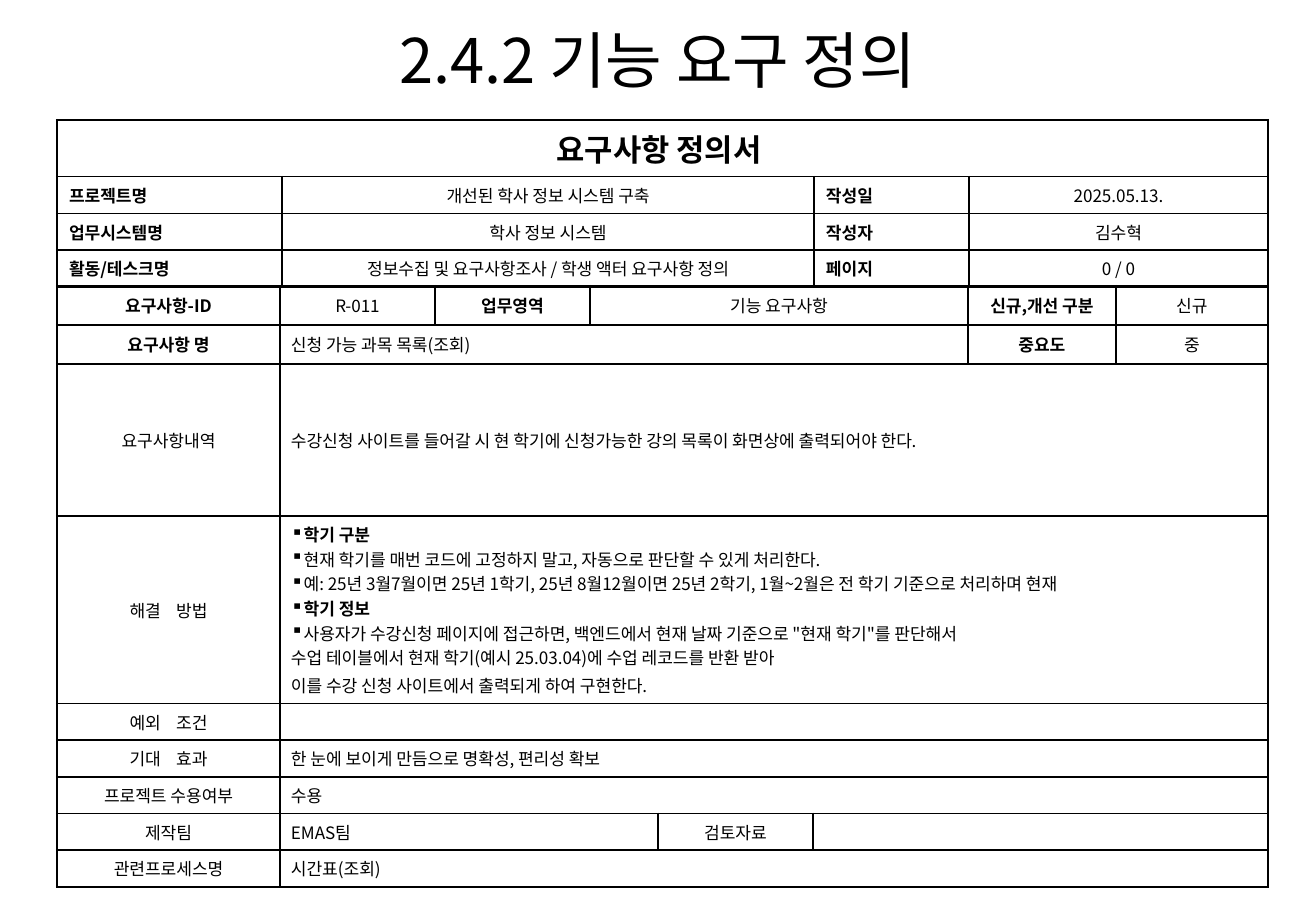
from pptx import Presentation, util as u
from pptx.dml.color import RGBColor
from pptx.enum import text
from pptx.oxml.ns import qn
from lxml import etree

PX = 7440  # EMU in one px
FONT = "Noto Sans CJK KR"
INK = {"text": "000000", "line": "000000"}
CENTER, LEFT, JUST = text.PP_ALIGN.CENTER, text.PP_ALIGN.LEFT, text.PP_ALIGN.JUSTIFY
TOP, MID = text.MSO_ANCHOR.TOP, text.MSO_ANCHOR.MIDDLE

# style: size, bold, alignment
STYLE = {
    "title": (36, False, CENTER),
    "form": (18, True, CENTER),
    "name": (10, True, JUST),
    "head": (10, True, CENTER),
    "mid": (10, False, CENTER),
    "left": (10, False, LEFT),
    "bold": (10, True, LEFT),
}


def write(par, words, style):
    """Put the words in a paragraph; a line feed becomes a line break."""
    size, bold, align = STYLE[style]
    par.alignment = align
    for i, line in enumerate(words.split("\n")):
        if i:
            par.add_line_break()
        run = par.add_run()
        run.text = line
        run.font.size = u.Pt(size)
        run.font.bold = bold
        run.font.name = FONT
        run.font.color.rgb = RGBColor.from_string(INK["text"])
        etree.SubElement(run.font._element, qn("a:ea")).set("typeface", FONT)


def edge(cell, side, width):
    """Draw one border of a cell; the side is L, R, T or B."""
    line = etree.SubElement(cell._tc.get_or_add_tcPr(), qn("a:ln" + side))
    line.set("w", str(u.Pt(width)))
    fill = etree.SubElement(line, qn("a:solidFill"))
    etree.SubElement(fill, qn("a:srgbClr")).set("val", INK["line"])


# Each cell: columns it spans, style, words
need = [
    [(1, "head", "요구사항-ID"), (1, "mid", "R-011"), (1, "head", "업무영역"),
     (3, "mid", "기능 요구사항"), (1, "head", "신규,개선 구분"), (1, "mid", "신규")],
    [(1, "head", "요구사항 명"), (5, "left", "신청 가능 과목 목록(조회)"),
     (1, "head", "중요도"), (1, "mid", "중")],
    [(1, "mid", "요구사항내역"),
     (7, "left", "수강신청 사이트를 들어갈 시 현 학기에 신청가능한 강의 목록이 화면상에 출력되어야 한다.")],
    [(1, "mid", "해결    방법"), (7, "left", "")],
    [(1, "mid", "예외    조건"), (7, "left", "")],
    [(1, "mid", "기대    효과"), (7, "left", "한 눈에 보이게 만듬으로 명확성, 편리성 확보")],
    [(1, "mid", "프로젝트 수용여부"), (7, "left", "수용")],
    [(1, "mid", "제작팀"), (3, "left", "EMAS팀"), (1, "mid", "검토자료"), (3, "left", "")],
    [(1, "mid", "관련프로세스명"), (7, "left", "시간표(조회)")],
]
info = [[(4, "form", "요구사항 정의서 ")]]
for name, value, label, note in [
    ("프로젝트명", "개선된 학사 정보 시스템 구축", "작성일", "2025.05.13."),
    ("업무시스템명 ", "학사 정보 시스템", "작성자", "김수혁"),
    ("활동/테스크명", "정보수집 및 요구사항조사 / 학생 액터 요구사항 정의", "페이지", "0 / 0"),
]:
    info.append([(1, "name", name), (1, "mid", value), (1, "name", label), (1, "mid", note)])

# Top, column widths, row heights, thick row lines, side inset, anchor, rows
forms = [
    (286, [223, 155, 155, 68, 155, 155, 148, 152],
     [39, 39, 152, 187] + [36] * 5, {0, 1, 2, 9}, 11, MID, need),
    (120, [225, 532, 155, 299], [56, 37, 36, 37], {0, 4}, 12, TOP, info),
]

deck = Presentation()
deck.slide_width, deck.slide_height = 1316 * PX, 922 * PX
slide = deck.slides.add_slide(deck.slide_layouts[6])

grids = []
for top, wide, high, thick, inset, anchor, rows in forms:
    grid = slide.shapes.add_table(len(high), len(wide), 57 * PX, top * PX,
                                  sum(wide) * PX, sum(high) * PX).table
    grid.first_row = grid.horz_banding = False
    for col, w in zip(grid.columns, wide):
        col.width = w * PX
    for row, h in zip(grid.rows, high):
        row.height = h * PX
    for r, row in enumerate(rows):
        c = 0
        for span, style, words in row:
            cell, end = grid.cell(r, c), c + span
            if span > 1:
                cell.merge(grid.cell(r, end - 1))
            cell.margin_left = cell.margin_right = inset * PX
            cell.margin_top = cell.margin_bottom = 6 * PX
            cell.vertical_anchor = MID if style == "form" else anchor
            par = cell.text_frame.paragraphs[0]
            if words:
                write(par, words, style)
            else:
                par._p.get_or_add_endParaRPr().set("sz", "1000")
            for k in range(c, end):
                part = grid.cell(r, k)
                if k == c:
                    edge(part, "L", 1 if c else 1.5)
                if k == c or k == end - 1:
                    edge(part, "R", 1.5 if end == len(wide) else 1)
                edge(part, "T", 1.5 if r in thick else 1)
                edge(part, "B", 1.5 if r + 1 in thick else 1)
                part.fill.background()
            c = end
    grids.append(grid)

# Steps of the solution: bullet or not, style, words
steps = [
    (True, "bold", "학기 구분"),
    (True, "left", "현재 학기를 매번 코드에 고정하지 말고, 자동으로 판단할 수 있게 처리한다."),
    (True, "left", "예: 25년 3월7월이면 25년 1학기, 25년 8월12월이면 25년 2학기, "
                   "1월~2월은 전 학기 기준으로 처리하며 현재"),
    (True, "bold", "학기 정보"),
    (True, "left", "사용자가 수강신청 페이지에 접근하면, 백엔드에서 현재 날짜 기준으로 \"현재 학기\"를 판단해서\n"
                   "수업 테이블에서 현재 학기(예시 25.03.04)에 수업 레코드를 반환 받아"),
    (False, "left", "이를 수강 신청 사이트에서 출력되게 하여 구현한다."),
]
frame = grids[0].cell(3, 1).text_frame
for i, (dot, style, words) in enumerate(steps):
    par = frame.add_paragraph() if i else frame.paragraphs[0]
    write(par, words, style)
    if dot:
        prop = par._p.get_or_add_pPr()
        prop.set("marL", "0")
        prop.set("indent", "0")
        etree.SubElement(prop, qn("a:buChar")).set("char", "▪")
    else:
        par.space_before = u.Pt(2)

title = slide.shapes.add_textbox(220 * PX, 9 * PX, 875 * PX, 177 * PX).text_frame
title.word_wrap = True
title.paragraphs[0].line_spacing = 1.1
write(title.paragraphs[0], "2.4.2 기능 요구 정의", "title")

deck.save("out.pptx")
